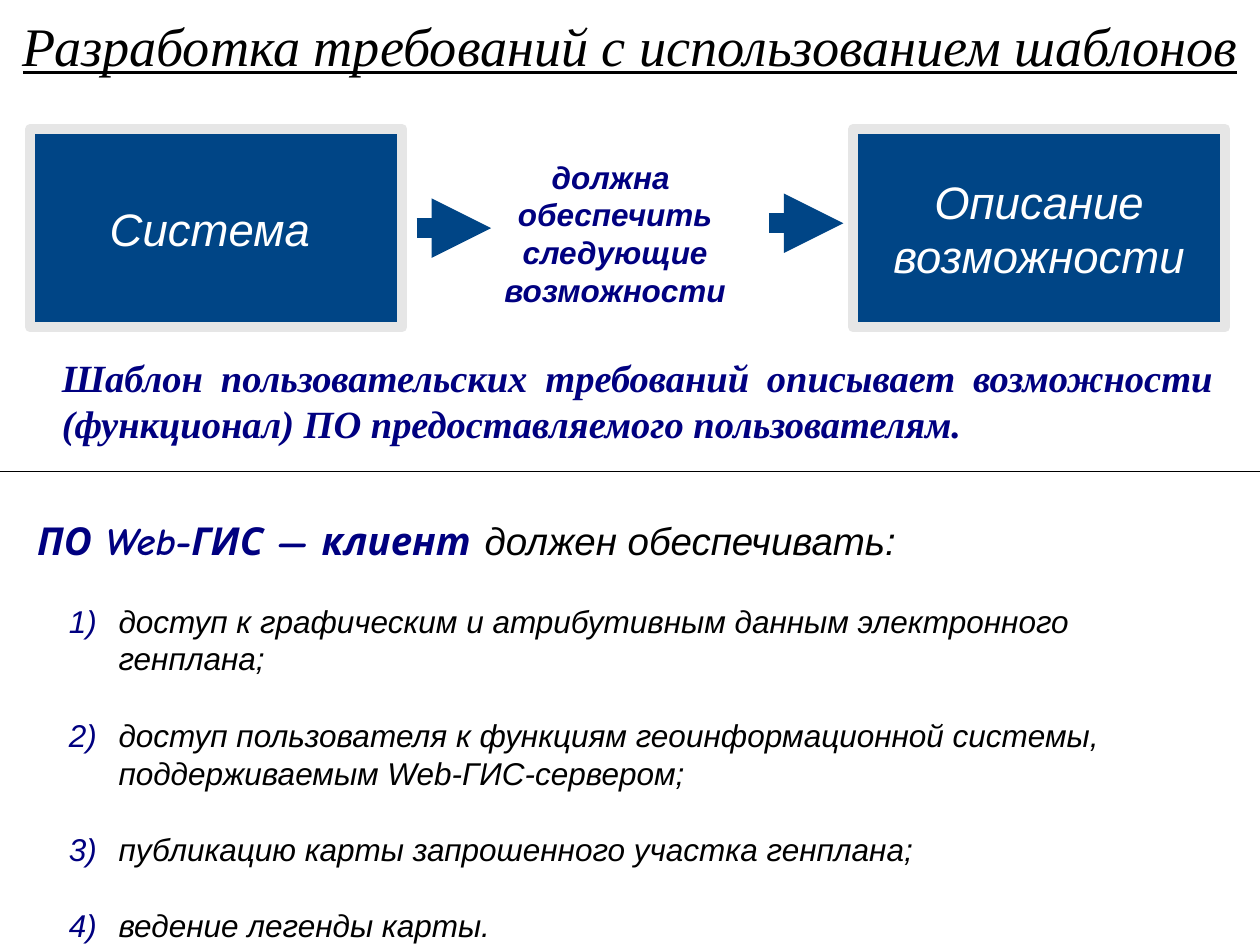
"""Build the slide on writing user requirements from a template."""
import dataclasses
import typing

import lxml.etree
import pptx
import pptx.dml.color
import pptx.enum.shapes
import pptx.enum.text
import pptx.oxml.ns
import pptx.util

Cm = pptx.util.Cm
Pt = pptx.util.Pt
Align = pptx.enum.text.PP_ALIGN
Anchor = pptx.enum.text.MSO_ANCHOR
Fit = pptx.enum.text.MSO_AUTO_SIZE


@dataclasses.dataclass(frozen=True)
class Theme:
    black: str = "000000"
    white: str = "FFFFFF"
    navy: str = "000080"
    blue: str = "004586"
    frame: str = "E6E6E6"
    serif: str = "Times New Roman"
    sans: str = "Arial"
    comic: str = "Comic Neue"
    title: float = 31
    block: float = 26
    statement: float = 22
    body: float = 18
    border: float = 5.67
    arrow: float = 11.34
    rule: float = 0.75


THEME = Theme()


class Box(typing.NamedTuple):
    left: float
    top: float
    width: float
    height: float


class Style(typing.NamedTuple):
    face: str
    size: float
    color: str
    bold: bool = False
    underline: bool = False


class Piece(typing.NamedTuple):
    text: str
    style: Style


class Block(typing.NamedTuple):
    left: float
    piece: Piece


class Passage(typing.NamedTuple):
    box: Box
    paragraphs: list[list[Piece]]
    align: Align
    anchor: Anchor = Anchor.TOP
    inset: tuple[float, float] = (0.25, 0.13)
    fit: Fit = Fit.NONE
    numbered: bool = False


class Stroke(typing.NamedTuple):
    left: float
    right: float
    level: float
    color: str
    weight: float
    arrow: bool = False


TITLE = Style(THEME.serif, THEME.title, THEME.black, underline=True)
BLOCK = Style(THEME.sans, THEME.block, THEME.white)
LINK = Style(THEME.sans, THEME.body, THEME.navy, bold=True)
STATEMENT = Style(THEME.serif, THEME.statement, THEME.navy, bold=True)
PRODUCT = Style(THEME.comic, THEME.statement, THEME.navy, bold=True)
MUST = Style(THEME.sans, THEME.statement, THEME.black)
ITEM = Style(THEME.sans, THEME.body, THEME.black)

BLOCK_INSET = (0.38, 0.25)
BLOCKS = [
    Block(0.61, Piece("Система ", BLOCK)),
    Block(17.2, Piece("Описание возможности", BLOCK)),
]
REQUIREMENTS = [
    "доступ к графическим и атрибутивным данным электронного генплана;",
    "доступ пользователя к функциям геоинформационной системы, "
    "поддерживаемым Web-ГИС-сервером;",
    "публикацию карты запрошенного участка генплана;",
    "ведение легенды карты.",
]
PASSAGES = [
    Passage(Box(0, -0.1, 25.4, 2),
            [[Piece("Разработка требований с использованием шаблонов", TITLE)]],
            Align.CENTER, Anchor.MIDDLE, (0.05, 0.05)),
    Passage(Box(9.5, 3.2, 5.8, 3),
            [[Piece("должна ", LINK)],
             [Piece("обеспечить следующие возможности", LINK)]],
            Align.CENTER, Anchor.MIDDLE, BLOCK_INSET),
    Passage(Box(1, 7, 23.7, 2.13),
            [[Piece("Шаблон пользовательских требований описывает возможности "
                    "(функционал) ПО предоставляемого пользователям.", STATEMENT)]],
            Align.JUSTIFY, fit=Fit.SHAPE_TO_FIT_TEXT),
    Passage(Box(0.5, 10.3, 23.7, 1.2),
            [[Piece("ПО Web-ГИС — клиент ", PRODUCT),
              Piece("должен обеспечивать:", MUST)]],
            Align.JUSTIFY, fit=Fit.SHAPE_TO_FIT_TEXT),
    Passage(Box(1.14, 12, 23, 6.5),
            [[Piece(requirement, ITEM)] for requirement in REQUIREMENTS],
            Align.LEFT, numbered=True),
]
STROKES = [
    Stroke(8.4, 9.9, 4.6, THEME.blue, THEME.arrow, arrow=True),
    Stroke(15.5, 17, 4.5, THEME.blue, THEME.arrow, arrow=True),
    Stroke(0, 25.4, 9.5, THEME.black, THEME.rule),
]


def rgb(color: str) -> pptx.dml.color.RGBColor:
    """Return the colour object for a hex value."""
    return pptx.dml.color.RGBColor.from_string(color)


def child(parent, tag: str, **values: str):
    """Append a drawing element with its attributes."""
    return lxml.etree.SubElement(parent, pptx.oxml.ns.qn(tag), values)


def apply(target, values: dict[str, typing.Any]) -> None:
    """Set every format value on the target."""
    for name, value in values.items():
        setattr(target, name, value)


def number(paragraph, first: bool) -> None:
    """Give a paragraph a coloured number and a hanging indent."""
    apply(paragraph, {"space_before": Pt(0 if first else 12), "space_after": Pt(10)})
    properties = paragraph._p.get_or_add_pPr()
    properties.set("marL", str(Cm(1)))
    properties.set("indent", str(Cm(-1)))
    child(child(properties, "a:buClr"), "a:srgbClr", val=THEME.navy)
    child(properties, "a:buAutoNum", type="arabicParenR")


def write(frame, passage: Passage) -> None:
    """Fill a text frame with the paragraphs of a passage."""
    side, edge = (Cm(length) for length in passage.inset)
    apply(frame, {
        "word_wrap": True, "auto_size": passage.fit, "vertical_anchor": passage.anchor,
        "margin_left": side, "margin_right": side,
        "margin_top": edge, "margin_bottom": edge,
    })
    for index, pieces in enumerate(passage.paragraphs):
        paragraph = frame.add_paragraph() if index else frame.paragraphs[0]
        paragraph.alignment = passage.align
        if passage.numbered:
            number(paragraph, index == 0)
        for piece in pieces:
            run = paragraph.add_run()
            run.text = piece.text
            style = piece.style
            apply(run.font, {
                "name": style.face, "size": Pt(style.size), "bold": style.bold,
                "italic": True, "underline": style.underline,
            })
            run.font.color.rgb = rgb(style.color)


def draw_passage(slide, passage: Passage) -> None:
    """Draw a text box holding a passage."""
    area = slide.shapes.add_textbox(*(Cm(length) for length in passage.box))
    write(area.text_frame, passage)


def draw_block(slide, block: Block) -> None:
    """Draw a framed block of the template."""
    box = Box(block.left, 2.6, 7.5, 4)
    panel = slide.shapes.add_shape(pptx.enum.shapes.MSO_SHAPE.RECTANGLE,
                                   *(Cm(length) for length in box))
    panel.shadow.inherit = False
    panel.fill.solid()
    panel.fill.fore_color.rgb = rgb(THEME.blue)
    panel.line.color.rgb = rgb(THEME.frame)
    panel.line.width = Pt(THEME.border)
    child(panel.line._get_or_add_ln(), "a:round")
    write(panel.text_frame,
          Passage(box, [[block.piece]], Align.CENTER, Anchor.MIDDLE, BLOCK_INSET))


def draw_stroke(slide, stroke: Stroke) -> None:
    """Draw a horizontal rule or arrow."""
    level = Cm(stroke.level)
    connector = slide.shapes.add_connector(pptx.enum.shapes.MSO_CONNECTOR.STRAIGHT,
                                           Cm(stroke.left), level, Cm(stroke.right), level)
    connector.line.color.rgb = rgb(stroke.color)
    connector.line.width = Pt(stroke.weight)
    if stroke.arrow:
        child(connector.line._get_or_add_ln(), "a:tailEnd", type="triangle")
    child(connector._element.spPr, "a:effectLst")


def main() -> None:
    """Build and save the slide."""
    deck = pptx.Presentation()
    apply(deck, {"slide_width": Cm(25.4), "slide_height": Cm(19.05)})
    slide = deck.slides.add_slide(deck.slide_layouts[6])
    for draw, parts in ((draw_block, BLOCKS), (draw_passage, PASSAGES),
                        (draw_stroke, STROKES)):
        for part in parts:
            draw(slide, part)
    deck.save("out.pptx")


if __name__ == "__main__":
    main()
